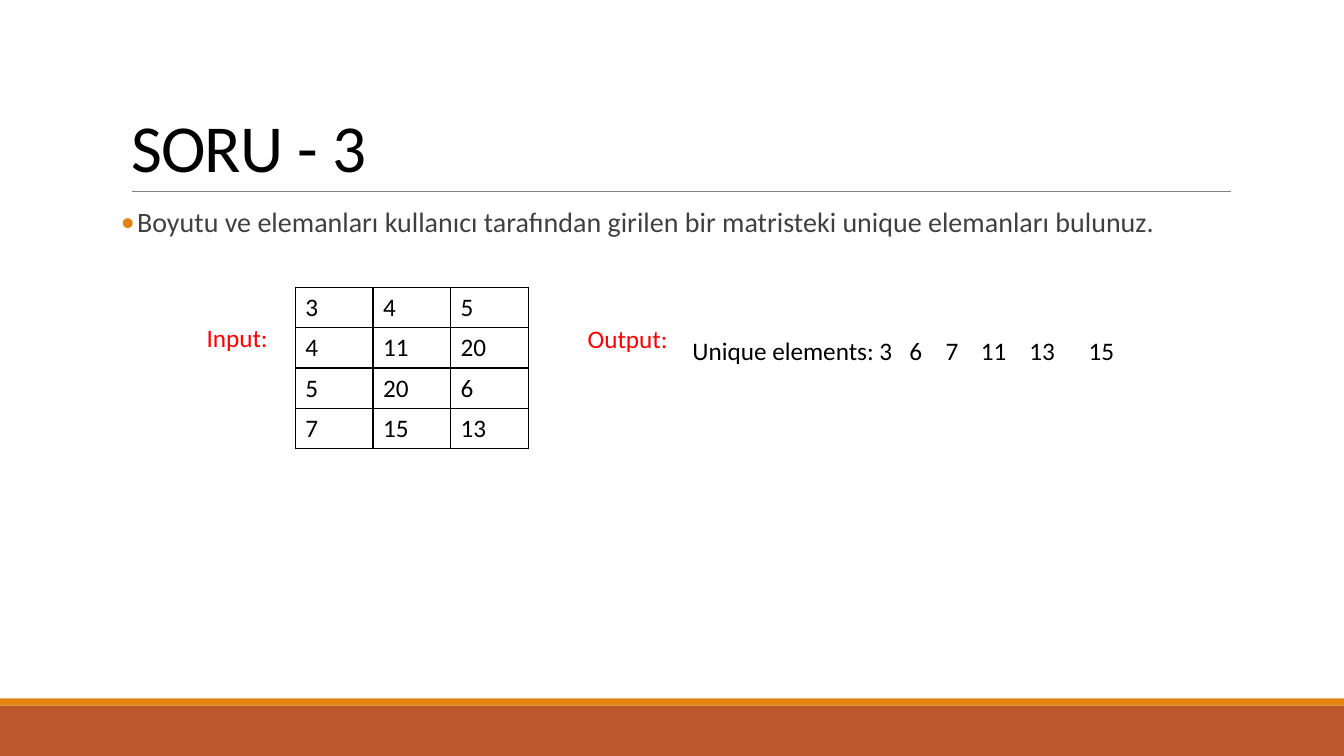
import pptx
import pptx.dml.color
import pptx.enum.shapes
import pptx.enum.text
import pptx.oxml
import pptx.oxml.ns
import pptx.util
from lxml import etree

Inches = pptx.util.Inches
Pt = pptx.util.Pt
MATRIX = [[3, 4, 5], [4, 11, 20], [5, 20, 6], [7, 15, 13]]
UNIQUE_TABS = {6: 2.15, 7: 2.51, 11: 2.86, 13: 3.34, 15: 3.93}


def color(value):
    """Return the colour object for a hex string."""
    return pptx.dml.color.RGBColor.from_string(value)


def add_element(parent, tag, **attributes):
    """Append a DrawingML element to parent and return it."""
    element = etree.SubElement(parent, pptx.oxml.ns.qn(tag))
    for name, value in attributes.items():
        element.set(name, str(value))
    return element


def place(shape, left, top, width, height):
    """Move and size a shape, in inches."""
    shape.left, shape.top = Inches(left), Inches(top)
    shape.width, shape.height = Inches(width), Inches(height)


def format_runs(paragraph, size, value):
    """Apply the slide font to every run of a paragraph."""
    for run in paragraph.runs:
        run.font.name = "Calibri"
        run.font.size = Pt(size)
        run.font.color.rgb = color(value)


def add_band(slide, left, top, width, height, value):
    """Draw a plain filled band."""
    band = slide.shapes.add_shape(
        pptx.enum.shapes.MSO_SHAPE.RECTANGLE,
        Inches(left), Inches(top), Inches(width), Inches(height))
    band.shadow.inherit = False
    band.fill.solid()
    band.fill.fore_color.rgb = color(value)
    band.line.fill.background()


def add_footer(slide, left, top, width, height):
    """Draw the two-tone footer in its box."""
    stripe = 0.07
    add_band(slide, left, top + stripe, width, height - stripe, "BD582C")
    add_band(slide, left, top, width, stripe, "E48312")


def add_title(slide, left, top, width, height):
    """Fill the title placeholder and rule a line along its bottom."""
    rule = slide.shapes.add_connector(
        pptx.enum.shapes.MSO_CONNECTOR.STRAIGHT,
        Inches(left + 0.11), Inches(top + height),
        Inches(left + width + 0.01), Inches(top + height))
    rule.line.color.rgb = color("808080")
    rule.line.width = Pt(0.5)
    add_element(rule._element.spPr, "a:effectLst")

    title = slide.shapes.title
    place(title, left, top, width, height)
    frame = title.text_frame
    frame.text = "SORU - 3"
    frame.auto_size = pptx.enum.text.MSO_AUTO_SIZE.NONE
    frame.vertical_anchor = pptx.enum.text.MSO_ANCHOR.BOTTOM
    paragraph = frame.paragraphs[0]
    paragraph.alignment = pptx.enum.text.PP_ALIGN.LEFT
    paragraph.line_spacing = 0.85
    format_runs(paragraph, 48, "000000")
    paragraph.runs[0]._r.get_or_add_rPr().set("spc", "-50")


def add_question(slide, left, top, width, height):
    """Fill the body placeholder with the bulleted question."""
    body = slide.placeholders[1]
    place(body, left, top, width, height)
    frame = body.text_frame
    frame.text = ("Boyutu ve elemanları kullanıcı tarafından girilen "
                  "bir matristeki unique elemanları bulunuz.")
    frame.auto_size = pptx.enum.text.MSO_AUTO_SIZE.NONE
    frame.margin_left = frame.margin_right = 0
    paragraph = frame.paragraphs[0]
    paragraph.line_spacing = 0.9
    paragraph.space_before = Pt(12)
    paragraph.space_after = Pt(2)
    format_runs(paragraph, 20, "404040")
    properties = paragraph._p.get_or_add_pPr()
    properties.set("marL", str(Inches(0.16)))
    properties.set("indent", str(-Inches(0.16)))
    bullet_color = add_element(properties, "a:buClr")
    add_element(bullet_color, "a:srgbClr", val="E48312")
    add_element(properties, "a:buFont", typeface="Calibri")
    add_element(properties, "a:buChar", char="•")


def add_text(slide, text, left, top, width, height, value):
    """Add a one-line text box and return its paragraph."""
    box = slide.shapes.add_textbox(
        Inches(left), Inches(top), Inches(width), Inches(height))
    box.text_frame.word_wrap = True
    box.text_frame.text = text
    paragraph = box.text_frame.paragraphs[0]
    format_runs(paragraph, 18, value)
    return paragraph


def add_borders(cell):
    """Give a cell thin black borders on all sides."""
    properties = cell._tc.get_or_add_tcPr()
    for tag in ("a:lnL", "a:lnR", "a:lnT", "a:lnB"):
        line = add_element(properties, tag, w=Pt(1))
        fill = add_element(line, "a:solidFill")
        add_element(fill, "a:srgbClr", val="000000")


def add_matrix(slide, left, top, width, height):
    """Add the input matrix as a bordered table."""
    table = slide.shapes.add_table(
        len(MATRIX), len(MATRIX[0]),
        Inches(left), Inches(top), Inches(width), Inches(height)).table
    table.first_row = table.horz_banding = False
    for row, values in enumerate(MATRIX):
        for column, value in enumerate(values):
            cell = table.cell(row, column)
            cell.text_frame.text = str(value)
            format_runs(cell.text_frame.paragraphs[0], 18, "000000")
            add_borders(cell)
            cell.fill.background()


def add_input(slide, left, top):
    """Place the input label and its matrix."""
    add_text(slide, "Input:", left, top + 0.3, 0.88, 0.4, "FF0000")
    add_matrix(slide, left + 0.98, top, 2.31, 1.6)


def add_output(slide, left, top):
    """Place the output label and the tabbed unique values."""
    add_text(slide, "Output:", left, top, 1.06, 0.4, "FF0000")
    values = "\t".join(["Unique elements: 3", *map(str, UNIQUE_TABS)])
    paragraph = add_text(
        slide, values, left + 1.04, top + 0.12, 4.56, 0.4, "000000")
    tabs = add_element(paragraph._p.get_or_add_pPr(), "a:tabLst")
    for position in UNIQUE_TABS.values():
        add_element(tabs, "a:tab", pos=Inches(position), algn="l")


def main():
    """Build and save the slide."""
    presentation = pptx.Presentation()
    presentation.slide_width = Inches(13.33)
    presentation.slide_height = Inches(7.5)
    slide = presentation.slides.add_slide(presentation.slide_layouts[1])
    slide.background.fill.solid()
    slide.background.fill.fore_color.rgb = color("FFFFFF")
    add_footer(slide, 0, 6.93, 13.33, 0.57)
    add_title(slide, 1.2, 0.31, 11, 1.59)
    add_question(slide, 1.2, 2.02, 11, 4.4)
    add_input(slide, 1.95, 2.85)
    add_output(slide, 5.73, 3.16)
    presentation.save("out.pptx")


if __name__ == "__main__":
    main()
